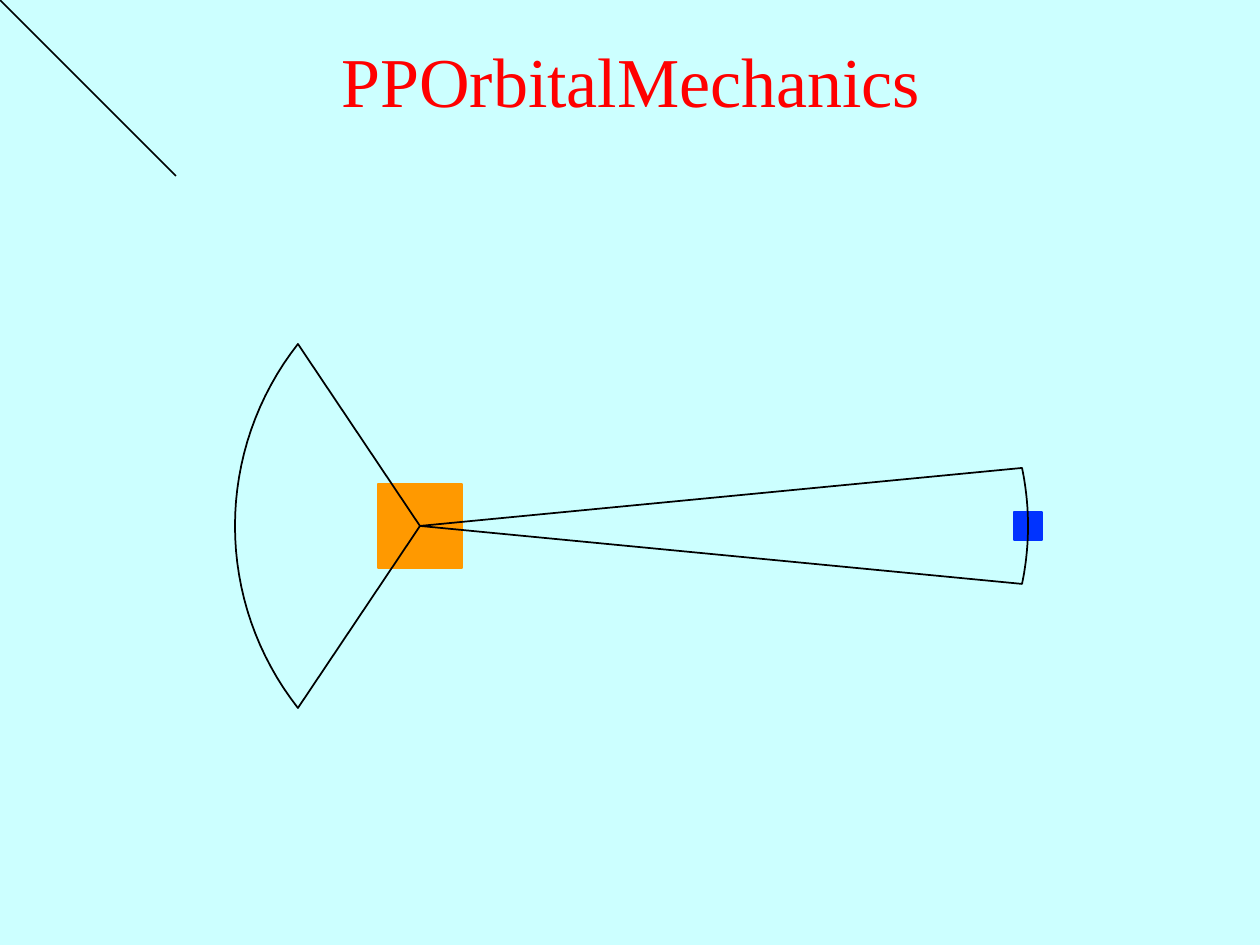
import math

from lxml import etree
from pptx import Presentation
from pptx.dml.color import RGBColor
from pptx.enum.shapes import MSO_CONNECTOR, MSO_SHAPE
from pptx.enum.text import MSO_ANCHOR, PP_ALIGN
from pptx.oxml.ns import qn
from pptx.util import Emu, Pt

RECTANGLE = MSO_SHAPE.RECTANGLE
STRAIGHT = MSO_CONNECTOR.STRAIGHT
MIDDLE = MSO_ANCHOR.MIDDLE
CENTER = PP_ALIGN.CENTER

COLORS = {
    "background": "CCFFFF",
    "title": "FF0000",
    "sun": "FF9900",
    "planet": "0033FF",
    "outline": "000000",
}
ARC_STEPS = 32


def px(value):
    return Emu(round(value * 914400 / 126))


def set_line(item, color):
    item.line.color.rgb = RGBColor.from_string(COLORS[color])
    item.line.width = Pt(1)


presentation = Presentation()
presentation.slide_width = px(1260)
presentation.slide_height = px(945)
slide = presentation.slides.add_slide(presentation.slide_layouts[5])
slide.background.fill.solid()
slide.background.fill.fore_color.rgb = RGBColor.from_string(COLORS["background"])

# Title
title = slide.shapes.title
title.left, title.top, title.width, title.height = px(0), px(0), px(1262), px(159)
title.text_frame.text = "PPOrbitalMechanics"
title.text_frame.vertical_anchor = MIDDLE
paragraph = title.text_frame.paragraphs[0]
paragraph.alignment = CENTER
paragraph.font.name = "Times New Roman"
paragraph.font.size = Pt(40)
paragraph.font.color.rgb = RGBColor.from_string(COLORS["title"])

# Sun and planet, both centred on the orbit axis
sun_x, axis_y = 420, 526
for name, center_x, size in [("sun", sun_x, 84), ("planet", 1028, 28)]:
    shape = slide.shapes.add_shape(
        RECTANGLE, px(center_x - size / 2), px(axis_y - size / 2), px(size), px(size)
    )
    shape.shadow.inherit = False
    shape.fill.solid()
    shape.fill.fore_color.rgb = RGBColor.from_string(COLORS[name])
    set_line(shape, name)

# Swept sectors: a circular arc closed by two lines to the sun
for corner_x, tip_x, half_height in [(1022, 1028, 58), (298, 235, 182)]:
    bulge = abs(tip_x - corner_x)
    side = math.copysign(1, tip_x - corner_x)
    radius = (half_height**2 + bulge**2) / (2 * bulge)
    half_angle = math.asin(half_height / radius)
    points = []
    for step in range(ARC_STEPS + 1):
        angle = half_angle * (2 * step / ARC_STEPS - 1)
        arc_x = tip_x - side * radius * (1 - math.cos(angle))
        arc_y = axis_y + radius * math.sin(angle)
        points.append((px(arc_x), px(arc_y)))
    builder = slide.shapes.build_freeform(px(sun_x), px(axis_y))
    builder.add_line_segments(points, close=True)
    sector = builder.convert_to_shape()
    sector.shadow.inherit = False
    sector.fill.background()
    set_line(sector, "outline")

# Diagonal line from the corner
diagonal = slide.shapes.add_connector(STRAIGHT, px(0), px(0), px(176), px(176))
set_line(diagonal, "outline")
etree.SubElement(diagonal._element.spPr, qn("a:effectLst"))

presentation.save("out.pptx")
